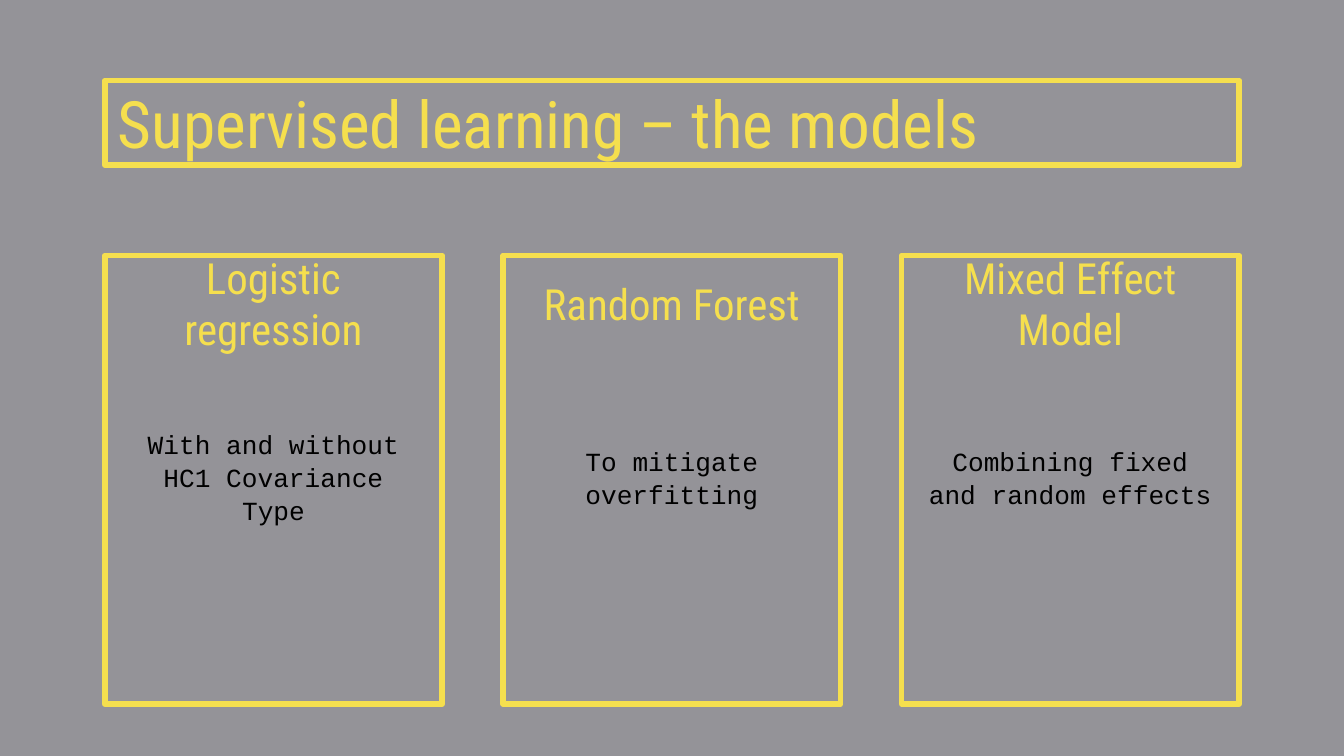
from pptx import Presentation
from pptx.dml.color import RGBColor
from pptx.enum.shapes import MSO_SHAPE
from pptx.enum.text import MSO_ANCHOR, MSO_AUTO_SIZE, PP_ALIGN
from pptx.util import Cm, Pt

RECTANGLE = MSO_SHAPE.RECTANGLE
MIDDLE = MSO_ANCHOR.MIDDLE
NO_FIT = MSO_AUTO_SIZE.NONE
LEFT, CENTER = PP_ALIGN.LEFT, PP_ALIGN.CENTER

MARGIN = 1.98
CONTENT_WIDTH = 21.44
CARD_WIDTH = 6.38
CARD_TOP, CARD_HEIGHT = 4.83, 8.48
HEADING_TOP, HEADING_HEIGHT = 5.13, 1.19

MODELS = [
    ("Logistic regression", "With and without HC1 Covariance Type"),
    ("Random Forest", "To mitigate overfitting"),
    ("Mixed Effect Model", "Combining fixed and random effects"),
]


def color(value):
    return RGBColor.from_string(value)


class ModelSlide:
    background = "949398"
    accent = "F5DF4E"
    ink = "000000"
    display_font = "Roboto Condensed"
    text_font = "Courier New"

    def __init__(self, presentation):
        self.slide = presentation.slides.add_slide(presentation.slide_layouts[5])
        fill = self.slide.background.fill
        fill.solid()
        fill.fore_color.rgb = color(self.background)

    def outline(self, shape):
        shape.fill.background()
        shape.line.color.rgb = color(self.accent)
        shape.line.width = Pt(3)

    def set_text(self, shape, text, font, size, ink, align, inset=0.25, bottom=0.25, spacing=1.0):
        frame = shape.text_frame
        frame.text = text
        frame.word_wrap = True
        frame.auto_size = NO_FIT
        frame.vertical_anchor = MIDDLE
        frame.margin_left = frame.margin_right = frame.margin_top = Cm(inset)
        frame.margin_bottom = Cm(bottom)
        paragraph = frame.paragraphs[0]
        paragraph.alignment = align
        paragraph.line_spacing = spacing
        for run in paragraph.runs:
            run.font.name = font
            run.font.size = Pt(size)
            run.font.color.rgb = color(ink)

    def title(self, text):
        title = self.slide.shapes.title
        title.left, title.top = Cm(MARGIN), Cm(1.52)
        title.width, title.height = Cm(CONTENT_WIDTH), Cm(1.6)
        self.outline(title)
        self.set_text(title, text, self.display_font, 35, self.accent, LEFT)

    def card(self, left, text):
        card = self.slide.shapes.add_shape(
            RECTANGLE, Cm(left), Cm(CARD_TOP), Cm(CARD_WIDTH), Cm(CARD_HEIGHT))
        card.shadow.inherit = False
        self.outline(card)
        self.set_text(card, text, self.text_font, 14, self.ink, CENTER,
                      inset=0.51, bottom=0.64, spacing=1.06)

    def heading(self, left, text):
        heading = self.slide.shapes.add_textbox(
            Cm(left), Cm(HEADING_TOP), Cm(CARD_WIDTH), Cm(HEADING_HEIGHT))
        self.set_text(heading, text, self.display_font, 23, self.accent, CENTER)


def main():
    presentation = Presentation()
    presentation.slide_width, presentation.slide_height = Cm(25.4), Cm(14.29)
    page = ModelSlide(presentation)
    page.title("Supervised learning – the models")
    step = (CONTENT_WIDTH - CARD_WIDTH) / (len(MODELS) - 1)
    for index, (name, purpose) in enumerate(MODELS):
        left = MARGIN + index * step
        page.card(left, purpose)
        page.heading(left, name)
    presentation.save("out.pptx")


if __name__ == "__main__":
    main()
